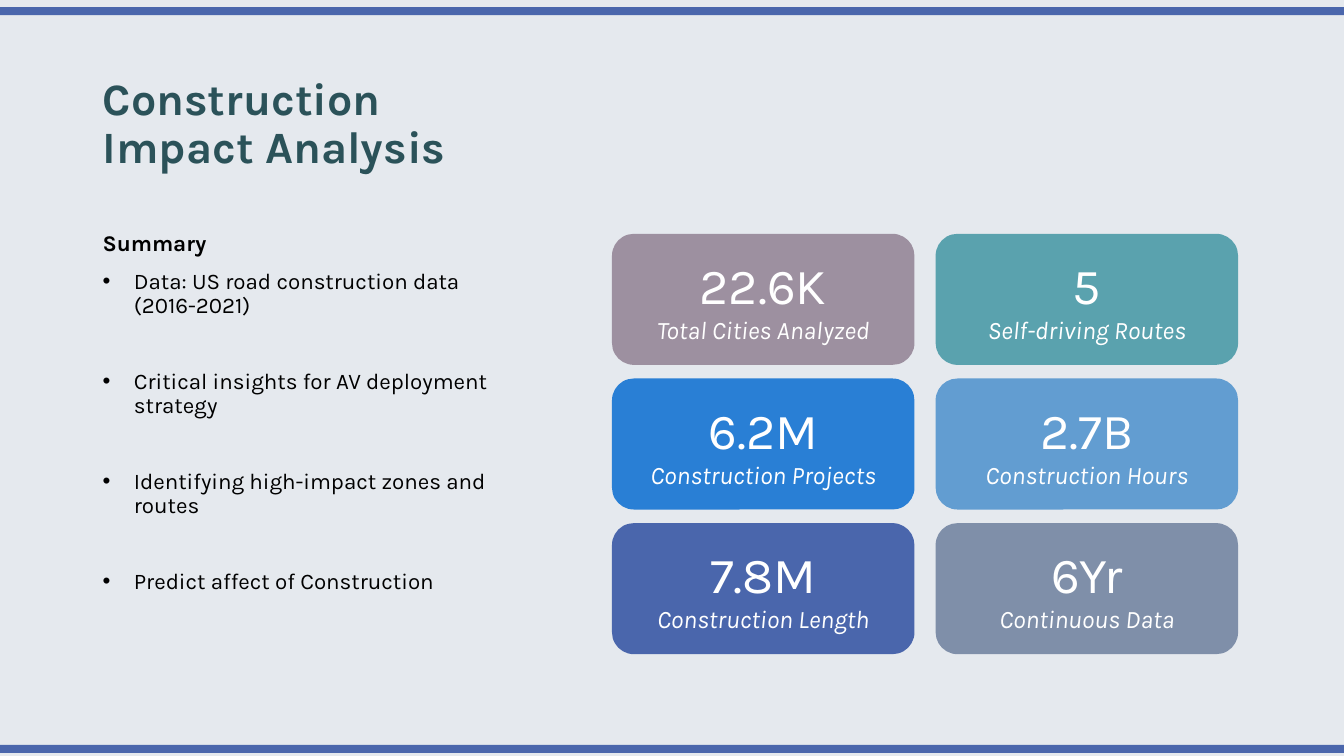
from lxml.etree import SubElement
from pptx import Presentation
from pptx.dml.color import RGBColor
from pptx.enum.shapes import MSO_SHAPE as Shape
from pptx.enum.text import MSO_ANCHOR as Anchor, PP_ALIGN as Align
from pptx.oxml.ns import qn
from pptx.util import Inches, Pt

SLIDE_WIDTH, SLIDE_HEIGHT = 13.33, 7.5
BACKGROUND, BAR, TITLE, BLACK, WHITE = "E5E9EE", "4A66AC", "2B5259", "000000", "FFFFFF"
TEXT_LEFT, TEXT_WIDTH = 0.92, 4.3
BULLET_INDENT = 0.31

SUMMARY_POINTS = [
    "Data: US road construction data (2016-2021)",
    "Critical insights for AV deployment strategy",
    "Identifying high-impact zones and routes",
    "Predict affect of Construction",
]

CARD_WIDTH, CARD_HEIGHT = 3, 1.3
CARD_LEFTS = [6.07, 9.28]
FIRST_CARD_TOP, LAST_CARD_TOP = 2.32, 5.19
CARD_ROWS = [
    [("22.6K", "Total Cities Analyzed", "9D90A0"), ("5", "Self-driving Routes", "5AA2AE")],
    [("6.2M", "Construction Projects", "297FD5"), ("2.7B", "Construction Hours", "629DD1")],
    [("7.8M", "Construction Length", "4A66AC"), ("6Yr", "Continuous Data", "7F8FA9")],
]


def color(hex_value):
    return RGBColor.from_string(hex_value)


class SlideBuilder:
    font_name = "Karla"
    line_spacing = 0.9

    def __init__(self, slide):
        self.slide = slide
        fill = slide.background.fill
        fill.solid()
        fill.fore_color.rgb = color(BACKGROUND)

    def add_run(self, paragraph, text, size, hex_color, bold=False, italic=False):
        run = paragraph.add_run()
        run.text = text
        font = run.font
        font.name, font.size = self.font_name, Pt(size)
        font.bold, font.italic = bold, italic
        font.color.rgb = color(hex_color)

    def add_block(self, kind, left, top, width, height, fill):
        """Add a filled preset shape without outline or shadow."""
        shape = self.slide.shapes.add_shape(
            kind, Inches(left), Inches(top), Inches(width), Inches(height))
        shape.shadow.inherit = False
        shape.fill.solid()
        shape.fill.fore_color.rgb = color(fill)
        shape.line.fill.background()
        return shape

    def add_bar(self, top):
        self.add_block(Shape.RECTANGLE, 0, top, SLIDE_WIDTH, 0.08, BAR)

    def add_text_box(self, top, height, anchor):
        box = self.slide.shapes.add_textbox(
            Inches(TEXT_LEFT), Inches(top), Inches(TEXT_WIDTH), Inches(height))
        frame = box.text_frame
        frame.word_wrap = True
        frame.vertical_anchor = anchor
        frame.paragraphs[0].line_spacing = self.line_spacing
        return frame

    def add_title(self, text):
        frame = self.add_text_box(0.5, 1.27, Anchor.BOTTOM)
        self.add_run(frame.paragraphs[0], text, 32, TITLE, bold=True)

    def add_bullet(self, frame, text, space_before):
        paragraph = frame.add_paragraph()
        paragraph.line_spacing = self.line_spacing
        paragraph.space_before = Pt(space_before)
        properties = paragraph._p.get_or_add_pPr()
        properties.set("marL", str(Inches(BULLET_INDENT)))
        properties.set("indent", str(-Inches(BULLET_INDENT)))
        SubElement(properties, qn("a:buFont"), typeface="Arial")
        SubElement(properties, qn("a:buChar"), char="•")
        self.add_run(paragraph, text, 16, BLACK)

    def add_summary(self, heading, points):
        frame = self.add_text_box(2.25, 4.17, Anchor.TOP)
        self.add_run(frame.paragraphs[0], heading, 16, BLACK, bold=True)
        for index, point in enumerate(points):
            self.add_bullet(frame, point, 37 if index else 10)

    def add_card(self, left, top, value, label, fill):
        card = self.add_block(
            Shape.ROUNDED_RECTANGLE, left, top, CARD_WIDTH, CARD_HEIGHT, fill)
        frame = card.text_frame
        frame.word_wrap = True
        frame.vertical_anchor = Anchor.MIDDLE
        value_line, label_line = frame.paragraphs[0], frame.add_paragraph()
        value_line.alignment = label_line.alignment = Align.CENTER
        self.add_run(value_line, value, 36, WHITE)
        self.add_run(label_line, label, 18, WHITE, italic=True)


def main():
    presentation = Presentation()
    presentation.slide_width = Inches(SLIDE_WIDTH)
    presentation.slide_height = Inches(SLIDE_HEIGHT)
    builder = SlideBuilder(presentation.slides.add_slide(presentation.slide_layouts[6]))

    for bar_top in (0.07, 7.39):
        builder.add_bar(bar_top)
    builder.add_title("Construction Impact Analysis")
    builder.add_summary("Summary", SUMMARY_POINTS)

    row_pitch = (LAST_CARD_TOP - FIRST_CARD_TOP) / (len(CARD_ROWS) - 1)
    for row, cards in enumerate(CARD_ROWS):
        for left, card in zip(CARD_LEFTS, cards):
            builder.add_card(left, FIRST_CARD_TOP + row * row_pitch, *card)

    presentation.save("out.pptx")


if __name__ == "__main__":
    main()
